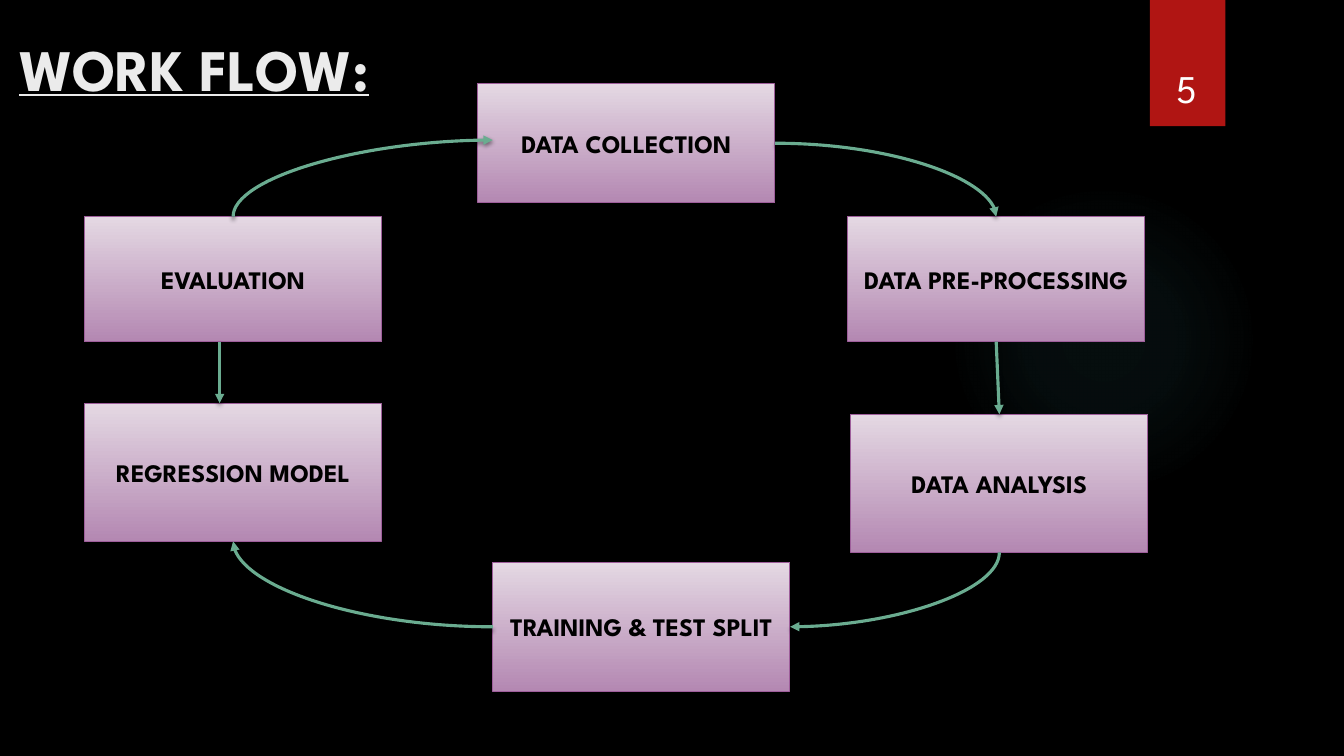
from dataclasses import dataclass

from lxml import etree
from pptx import Presentation
from pptx.dml.color import RGBColor
from pptx.enum.shapes import MSO_CONNECTOR, MSO_SHAPE
from pptx.enum.text import MSO_ANCHOR, PP_ALIGN
from pptx.oxml import parse_xml
from pptx.oxml.ns import nsdecls, qn
from pptx.util import Cm, Pt

RECTANGLE, OVAL = MSO_SHAPE.RECTANGLE, MSO_SHAPE.OVAL
STRAIGHT, CURVE = MSO_CONNECTOR.STRAIGHT, MSO_CONNECTOR.CURVE
LEFT, CENTER = PP_ALIGN.LEFT, PP_ALIGN.CENTER
MIDDLE, BOTTOM = MSO_ANCHOR.MIDDLE, MSO_ANCHOR.BOTTOM


@dataclass(frozen=True)
class Theme:
    font: str = "League Spartan"
    background: str = "000000"
    title: str = "EBEBEB"
    number: str = "FFFFFF"
    tab: str = "B01513"
    glow: str = "50B9C1"
    box_top: str = "E4D8E3"
    box_bottom: str = "B488B2"
    box_line: str = "9E5E9B"
    box_text: str = "000000"
    arrow: str = "6AAC90"
    title_size: int = 42
    number_size: int = 28
    box_size: int = 18


THEME = Theme()

# Content: box name -> left, top, height in cm
TITLE = "WORK FLOW:"
PAGE_NUMBER = "5"
BOX_WIDTH = 7.49
BOXES = {
    "EVALUATION": (2.13, 5.46, 3.15),
    "REGRESSION MODEL": (2.13, 10.16, 3.48),
    "DATA COLLECTION": (12.04, 2.11, 3.0),
    "TRAINING & TEST SPLIT": (12.42, 14.17, 3.25),
    "DATA PRE-PROCESSING": (21.36, 5.46, 3.15),
    "DATA ANALYSIS": (21.44, 10.44, 3.48),
}
# Curves leave the first site sideways; the arrowhead sits at the named end
# Each site: box, side, shift right, shift down
ARROWS = [
    (CURVE, ("DATA COLLECTION", "right", 0, 0), ("DATA PRE-PROCESSING", "top", 0, 0), "tailEnd"),
    (CURVE, ("TRAINING & TEST SPLIT", "right", 0, 0), ("DATA ANALYSIS", "bottom", 0, 0), "headEnd"),
    (CURVE, ("TRAINING & TEST SPLIT", "left", 0, 0), ("REGRESSION MODEL", "bottom", 0, 0), "tailEnd"),
    (CURVE, ("DATA COLLECTION", "left", 0.38, -0.08), ("EVALUATION", "top", 0, 0), "headEnd"),
    (STRAIGHT, ("EVALUATION", "bottom", -0.34, 0), ("REGRESSION MODEL", "top", -0.34, 0), "tailEnd"),
    (STRAIGHT, ("DATA PRE-PROCESSING", "bottom", 0, 0), ("DATA ANALYSIS", "top", 0, 0), "tailEnd"),
]
SIDES = {"left": (0, 0.5), "right": (1, 0.5), "top": (0.5, 0), "bottom": (0.5, 1)}


def color(value):
    return RGBColor.from_string(value)


def write(shape, text, size, fill, bold=False, underline=False, align=CENTER, anchor=MIDDLE):
    frame = shape.text_frame
    frame.word_wrap = True
    frame.vertical_anchor = anchor
    paragraph = frame.paragraphs[0]
    paragraph.alignment = align
    run = paragraph.add_run()
    run.text = text
    font = run.font
    font.name, font.size, font.bold, font.underline = THEME.font, Pt(size), bold, underline
    font.color.rgb = color(fill)


def add_shadow(shape):
    shape._element.spPr.append(parse_xml(
        f'<a:effectLst {nsdecls("a")}><a:outerShdw blurRad="38100" dist="25400" dir="5400000" '
        'rotWithShape="0"><a:srgbClr val="000000"><a:alpha val="45000"/></a:srgbClr>'
        '</a:outerShdw></a:effectLst>'))


def add_plain(kind, left, top, width, height):
    shape = slide.shapes.add_shape(kind, Cm(left), Cm(top), Cm(width), Cm(height))
    shape.line.fill.background()
    return shape


def add_box(name, left, top, height):
    box = add_plain(RECTANGLE, left, top, BOX_WIDTH, height)
    box.shadow.inherit = False
    box.fill.gradient()
    box.fill.gradient_angle = 270
    for stop, position, value in zip(box.fill.gradient_stops, (0, 1), (THEME.box_top, THEME.box_bottom)):
        stop.position = position
        stop.color.rgb = color(value)
    box.line.color.rgb = color(THEME.box_line)
    box.line.width = Pt(0.75)
    write(box, name, THEME.box_size, THEME.box_text, bold=True)


def site(name, side, shift_x, shift_y):
    left, top, height = BOXES[name]
    across, down = SIDES[side]
    return Cm(left + across * BOX_WIDTH + shift_x), Cm(top + down * height + shift_y)


def add_arrow(kind, start, end, head):
    arrow = slide.shapes.add_connector(kind, *site(*start), *site(*end))
    arrow.line.color.rgb = color(THEME.arrow)
    arrow.line.width = Pt(2.25)
    etree.SubElement(arrow.line._get_or_add_ln(), qn(f"a:{head}"), type="triangle")
    if kind == CURVE:
        arrow._element.spPr.find(qn("a:prstGeom")).set("prst", "curvedConnector2")
    add_shadow(arrow)


# Slide and background
presentation = Presentation()
presentation.slide_width, presentation.slide_height = Cm(33.87), Cm(19.05)
slide = presentation.slides.add_slide(presentation.slide_layouts[5])
slide.background.fill.solid()
slide.background.fill.fore_color.rgb = color(THEME.background)

# Soft glow
glow = add_plain(OVAL, 23.9, 4.65, 7.82, 7.82)
glow.shadow.inherit = False
stops = "".join(
    f'<a:gs pos="{position}000"><a:srgbClr val="{THEME.glow}"><a:alpha val="{alpha}000"/></a:srgbClr></a:gs>'
    for position, alpha in ((0, 7), (36, 6), (69, 0)))
glow.fill.background()
properties = glow._element.spPr
properties.replace(properties.find(qn("a:noFill")), parse_xml(
    f'<a:gradFill {nsdecls("a")}><a:gsLst>{stops}</a:gsLst><a:path path="circle">'
    '<a:fillToRect l="50000" t="50000" r="50000" b="50000"/></a:path></a:gradFill>'))

# Page number tab
tab = add_plain(RECTANGLE, 28.98, 0, 1.9, 3.18)
tab.fill.solid()
tab.fill.fore_color.rgb = color(THEME.tab)
add_shadow(tab)
number = slide.shapes.add_textbox(Cm(28.75), Cm(0.81), Cm(2.34), Cm(2.13))
write(number, PAGE_NUMBER, THEME.number_size, THEME.number, anchor=BOTTOM)

# Title
title = slide.shapes.title
title.left, title.top, title.width, title.height = Cm(0.23), Cm(0.46), Cm(26.14), Cm(2.49)
write(title, TITLE, THEME.title_size, THEME.title, bold=True, underline=True, align=LEFT)

# Work flow
for name, place in BOXES.items():
    add_box(name, *place)
for arrow in ARROWS:
    add_arrow(*arrow)

presentation.save("out.pptx")
